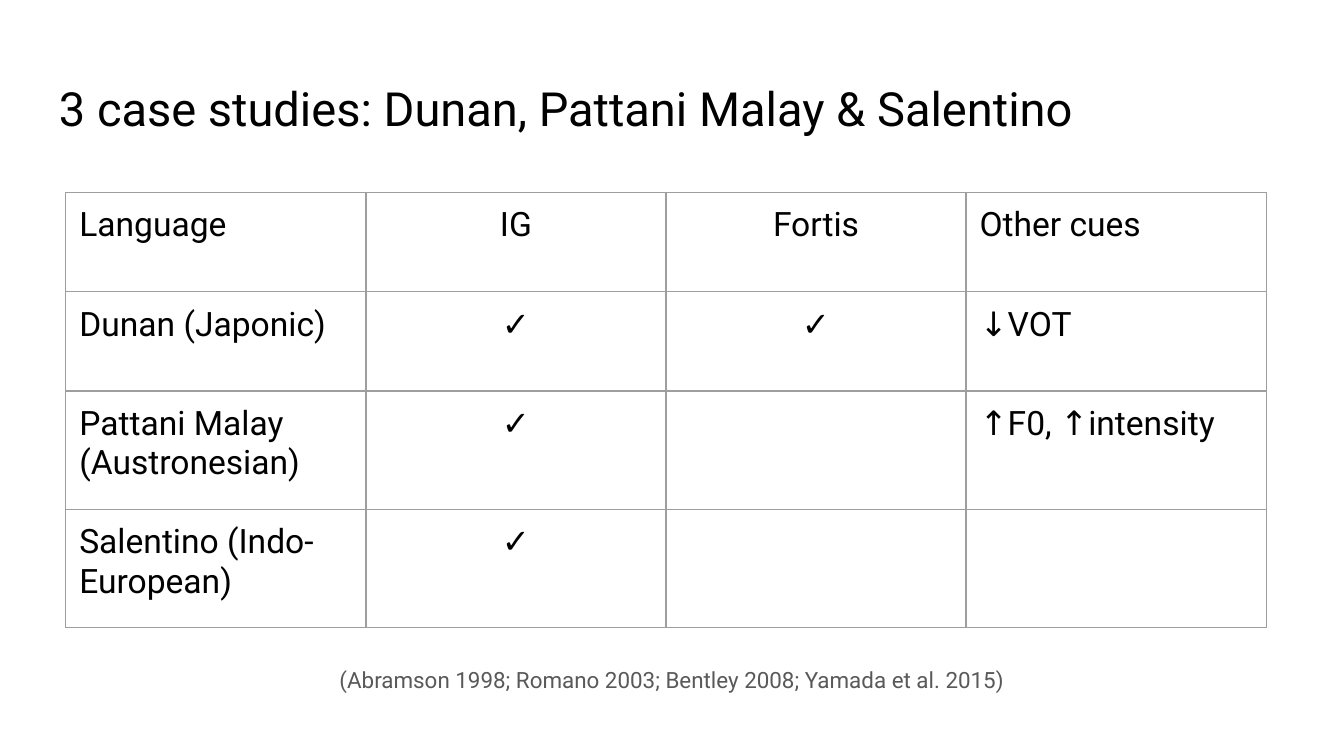
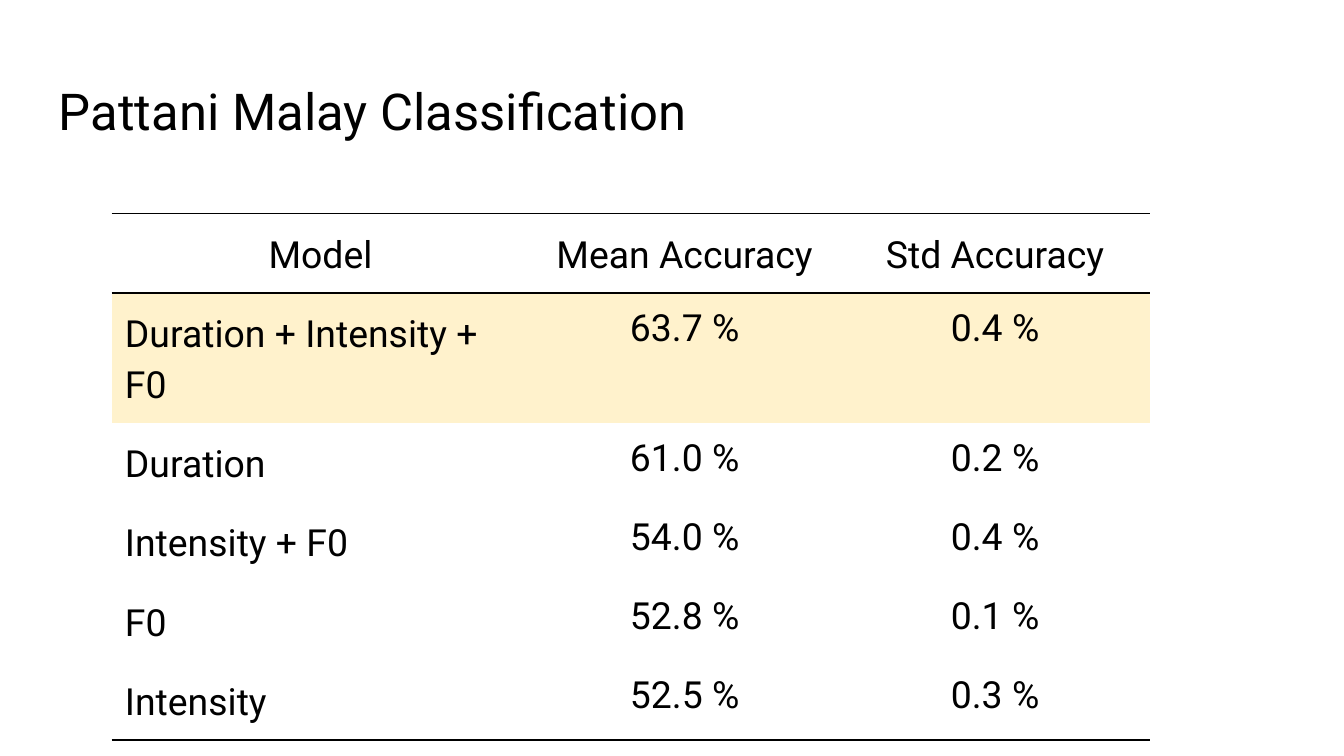
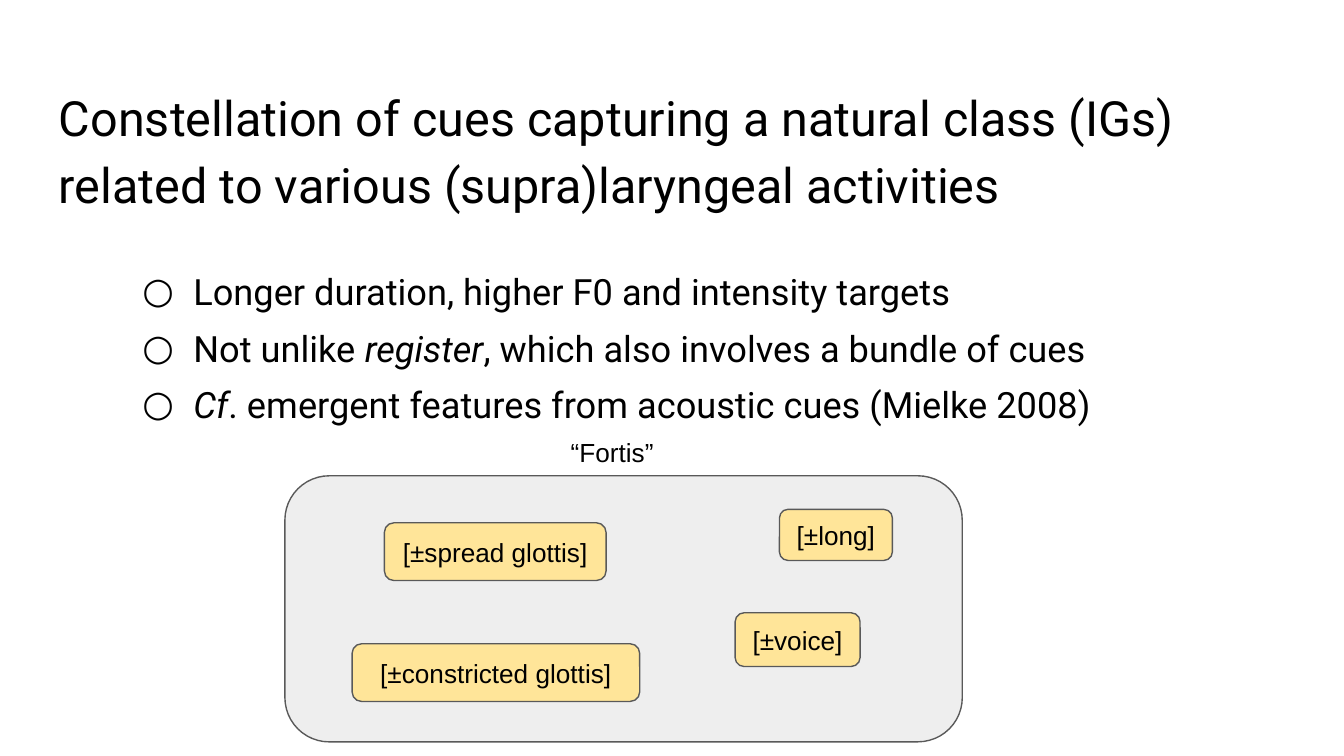
from dataclasses import dataclass
from typing import Any, Optional

from lxml.etree import SubElement
from pptx import Presentation
from pptx.dml.color import RGBColor
from pptx.enum.shapes import MSO_SHAPE
from pptx.enum.text import MSO_ANCHOR, PP_ALIGN
from pptx.oxml.ns import qn
from pptx.util import Emu, Inches, Pt

SLIDE_WIDTH = Inches(10)
SLIDE_HEIGHT = Inches(5.625)
GRID_COLUMNS = 100
BLANK_LAYOUT = 6


def grid(units: float) -> Emu:
    return Emu(round(SLIDE_WIDTH * units / GRID_COLUMNS))


@dataclass(frozen=True)
class Theme:
    font: str = "Roboto"
    label_font: str = "Arial"
    ink: str = "000000"
    muted: str = "595959"
    grid_line: str = "9E9E9E"
    highlight: str = "FFF2CC"
    panel: str = "EEEEEE"
    feature: str = "FFE599"
    background: str = "FFFFFF"
    case_title_size: float = 25.2
    result_title_size: float = 27.2
    cue_title_size: float = 26
    case_size: float = 18
    result_size: float = 20
    bullet_size: float = 19.4
    label_size: float = 14
    citation_size: float = 12
    line_width: float = 0.75
    loose: float = 1.15
    bullet_spacing: float = 1.3
    space_after: float = 12


THEME = Theme()


@dataclass(frozen=True)
class Area:
    left: float
    top: float
    width: float
    height: float

    def place(self) -> tuple[Emu, Emu, Emu, Emu]:
        return grid(self.left), grid(self.top), grid(self.width), grid(self.height)


@dataclass(frozen=True)
class Style:
    size: float
    color: str = THEME.ink
    font: str = THEME.font
    align: PP_ALIGN = PP_ALIGN.LEFT
    spacing: Optional[float] = None
    after: Optional[float] = None


@dataclass(frozen=True)
class Span:
    text: str
    italic: bool = False


@dataclass(frozen=True)
class Feature:
    name: str
    area: Area


@dataclass(frozen=True)
class Cell:
    text: str
    style: Style
    borders: str = ""
    line: str = THEME.ink
    fill: Optional[str] = None


MARGIN_LEFT = 3.4
CONTENT_WIDTH = GRID_COLUMNS - 2 * MARGIN_LEFT
TITLE_TOP = 4.9
LABEL = Style(THEME.label_size, font=THEME.label_font, align=PP_ALIGN.CENTER)

CASES = [
    ["Language", "IG", "Fortis", "Other cues"],
    ["Dunan (Japonic)", "✓", "✓", "↓VOT"],
    ["Pattani Malay (Austronesian)", "✓", "", "↑F0, ↑intensity"],
    ["Salentino (Indo-European)", "✓", "", ""],
]
RESULTS = [
    ["Model", "Mean Accuracy", "Std Accuracy"],
    ["Duration + Intensity + F0", "63.7 %", "0.4 %"],
    ["Duration", "61.0 %", "0.2 %"],
    ["Intensity + F0", "54.0 %", "0.4 %"],
    ["F0", "52.8 %", "0.1 %"],
    ["Intensity", "52.5 %", "0.3 %"],
]
CUES = [
    [Span("Longer duration, higher F0 and intensity targets")],
    [Span("Not unlike "), Span("register", True),
     Span(", which also involves a bundle of cues")],
    [Span("Cf", True), Span(". emergent features from acoustic cues (Mielke 2008)")],
]
FORTIS_PANEL = Area(21.2, 35.4, 50.4, 19.8)
FEATURES = [
    Feature("[±long]", Area(58, 37.9, 8.4, 3.8)),
    Feature("[±spread glottis]", Area(28.6, 38.9, 16.5, 4.3)),
    Feature("[±constricted glottis]", Area(26.2, 47.9, 21.4, 4.3)),
    Feature("[±voice]", Area(54.7, 45.6, 9.3, 4)),
]


def add_page(deck: Any) -> Any:
    page = deck.slides.add_slide(deck.slide_layouts[BLANK_LAYOUT])
    page.background.fill.solid()
    page.background.fill.fore_color.rgb = RGBColor.from_string(THEME.background)
    return page


def fill_para(para: Any, spans: list[Span], style: Style) -> None:
    para.alignment = style.align
    if style.spacing is not None:
        para.line_spacing = style.spacing
    if style.after is not None:
        para.space_after = Pt(style.after)
    for span in spans:
        run = para.add_run()
        run.text = span.text
        run.font.name = style.font
        run.font.size = Pt(style.size)
        run.font.italic = span.italic
        run.font.color.rgb = RGBColor.from_string(style.color)


def prepare_frame(frame: Any) -> None:
    frame.word_wrap = True
    frame.margin_left = frame.margin_right = grid(1)
    frame.margin_top = frame.margin_bottom = grid(1)


def add_text(page: Any, area: Area, text: str, style: Style) -> None:
    frame = page.shapes.add_textbox(*area.place()).text_frame
    prepare_frame(frame)
    fill_para(frame.paragraphs[0], [Span(text)], style)


def add_title(page: Any, text: str, style: Style, height: float = 6.3) -> None:
    add_text(page, Area(MARGIN_LEFT, TITLE_TOP, CONTENT_WIDTH, height), text, style)


def add_bullets(page: Any, area: Area, items: list[list[Span]], style: Style) -> None:
    frame = page.shapes.add_textbox(*area.place()).text_frame
    prepare_frame(frame)
    for index, spans in enumerate(items):
        para = frame.add_paragraph() if index else frame.paragraphs[0]
        para.level = 1
        properties = para._p.get_or_add_pPr()
        properties.set("marL", str(grid(10)))
        properties.set("indent", str(-grid(3.8)))
        color = SubElement(properties, qn("a:buClr"))
        SubElement(color, qn("a:srgbClr"), val=style.color)
        SubElement(properties, qn("a:buFont"), typeface=style.font)
        SubElement(properties, qn("a:buChar"), char="○")
        fill_para(para, spans, style)


def set_borders(cell: Any, sides: str, color: str) -> None:
    properties = cell._tc.get_or_add_tcPr()
    for side in "LRTB":
        line = SubElement(properties, qn(f"a:ln{side}"), w=str(Pt(THEME.line_width)))
        if side in sides:
            fill = SubElement(line, qn("a:solidFill"))
            SubElement(fill, qn("a:srgbClr"), val=color)
        else:
            SubElement(line, qn("a:noFill"))


def add_grid_table(page: Any, left: float, top: float, widths: list[float],
                   heights: list[float], rows: list[list[Cell]]) -> None:
    area = Area(left, top, sum(widths), sum(heights))
    table = page.shapes.add_table(len(heights), len(widths), *area.place()).table
    table.first_row = table.horz_banding = False
    for column, width in zip(table.columns, widths):
        column.width = grid(width)
    for row, height, cells in zip(table.rows, heights, rows):
        row.height = grid(height)
        for box, cell in zip(row.cells, cells):
            box.margin_left = box.margin_right = grid(1)
            box.margin_top = box.margin_bottom = grid(1)
            set_borders(box, cell.borders, cell.line)
            if cell.fill:
                box.fill.solid()
                box.fill.fore_color.rgb = RGBColor.from_string(cell.fill)
            else:
                box.fill.background()
            spans = [Span(cell.text)] if cell.text else []
            fill_para(box.text_frame.paragraphs[0], spans, cell.style)


def add_rounded(group: Any, area: Area, fill: str, text: str = "") -> None:
    box = group.shapes.add_shape(MSO_SHAPE.ROUNDED_RECTANGLE, *area.place())
    box.shadow.inherit = False
    box.fill.solid()
    box.fill.fore_color.rgb = RGBColor.from_string(fill)
    box.line.color.rgb = RGBColor.from_string(THEME.muted)
    box.line.width = Pt(THEME.line_width)
    if text:
        prepare_frame(box.text_frame)
        box.text_frame.vertical_anchor = MSO_ANCHOR.MIDDLE
        fill_para(box.text_frame.paragraphs[0], [Span(text)], LABEL)


def case_cell(text: str, column: int) -> Cell:
    align = PP_ALIGN.CENTER if column in (1, 2) else PP_ALIGN.LEFT
    return Cell(text, Style(THEME.case_size, align=align), "LRTB", THEME.grid_line)


def result_cell(text: str, row: int, column: int) -> Cell:
    header, model = row == 0, column == 0
    style = Style(
        THEME.result_size,
        align=PP_ALIGN.LEFT if model and not header else PP_ALIGN.CENTER,
        spacing=THEME.loose if model or header else None,
    )
    borders = {0: "TB", 1: "T", len(RESULTS) - 1: "B"}.get(row, "")
    return Cell(text, style, borders, fill=THEME.highlight if row == 1 else None)


def build_cases(deck: Any) -> None:
    page = add_page(deck)
    add_title(page, "3 case studies: Dunan, Pattani Malay & Salentino",
              Style(THEME.case_title_size))
    rows = [[case_cell(text, column) for column, text in enumerate(texts)]
            for texts in CASES]
    add_grid_table(page, 4.9, 14.3, [22.33] * 4, [7.4, 7.4, 8.8, 8.8], rows)
    add_text(page, Area(MARGIN_LEFT, 48.3, CONTENT_WIDTH, 4),
             "(Abramson 1998; Romano 2003; Bentley 2008; Yamada et al. 2015)",
             Style(THEME.citation_size, THEME.muted, align=PP_ALIGN.CENTER,
                   spacing=THEME.loose, after=THEME.space_after))


def build_results(deck: Any) -> None:
    page = add_page(deck)
    add_title(page, "Pattani Malay Classification", Style(THEME.result_title_size))
    rows = [[result_cell(text, row, column) for column, text in enumerate(texts)]
            for row, texts in enumerate(RESULTS)]
    add_grid_table(page, 8.3, 15.9, [31.1, 23.1, 23.1], [5.9] * len(rows), rows)


def build_cues(deck: Any) -> None:
    page = add_page(deck)
    add_title(page, "Constellation of cues capturing a natural class (IGs) "
              "related to various (supra)laryngeal activities",
              Style(THEME.cue_title_size, spacing=THEME.loose,
                    after=THEME.space_after), 14)
    add_bullets(page, Area(MARGIN_LEFT, 18.1, CONTENT_WIDTH, 14), CUES,
                Style(THEME.bullet_size, spacing=THEME.bullet_spacing))
    group = page.shapes.add_group_shape()
    add_rounded(group, FORTIS_PANEL, THEME.panel)
    for feature in FEATURES:
        add_rounded(group, feature.area, THEME.feature, feature.name)
    add_text(page, Area(35.3, 31.5, 20.5, 4.4), "“Fortis”", LABEL)


def main() -> None:
    deck = Presentation()
    deck.slide_width = SLIDE_WIDTH
    deck.slide_height = SLIDE_HEIGHT
    for build in (build_cases, build_results, build_cues):
        build(deck)
    deck.save("out.pptx")


if __name__ == "__main__":
    main()
